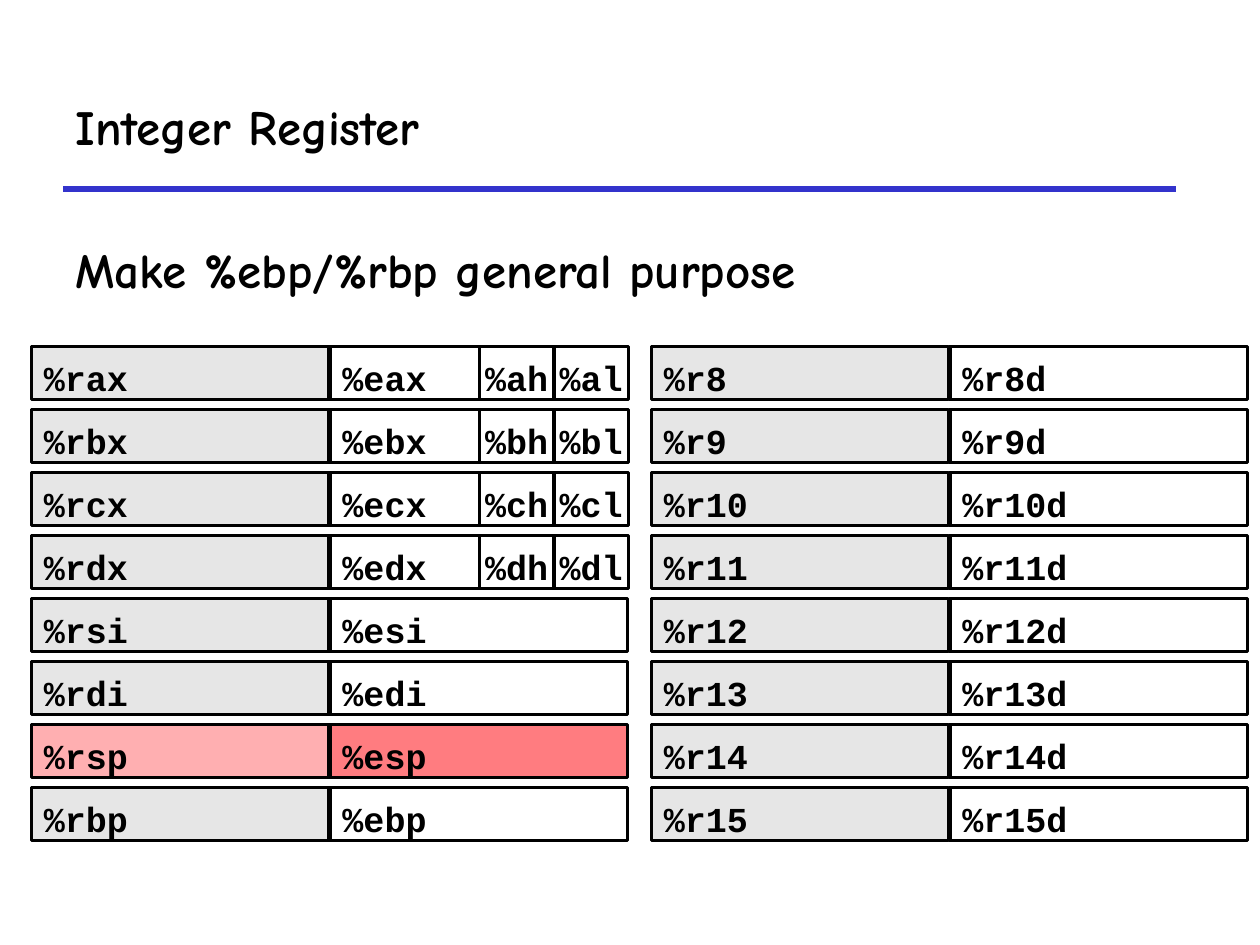
from dataclasses import dataclass

from pptx import Presentation, util as u
from pptx.dml.color import RGBColor
from pptx.enum import shapes, text
from pptx.oxml.ns import qn
from lxml import etree


@dataclass(frozen=True)
class Theme:
    ink: str = "000000"
    rule: str = "3333CC"
    gray: str = "E6E6E6"
    white: str = "FFFFFF"
    pink: str = "FFAFB1"
    red: str = "FF7C80"
    head: str = "Comic Neue"
    code: str = "Courier New"
    big: int = 28
    small: int = 20


# Register grid, in inches: a 64-bit name spans 4 columns, a byte spans 1
TOP, ROW, HIGH = 2.75, 0.5, 0.42
COL, WIDE = 2.37 / 4, 0.59
LEFT, RIGHT = 0.25, 5.17
SIDE, LIFT = 0.1, 0.07  # side inset; extra top inset that lowers the names


def write(shape, words, font, size, color, inset=(0.1, 0.05, 0.1, 0.05),
          wrap=True, align=text.PP_ALIGN.LEFT, anchor=text.MSO_ANCHOR.MIDDLE):
    frame = shape.text_frame
    frame.word_wrap = wrap
    frame.vertical_anchor = anchor
    (frame.margin_left, frame.margin_top,
     frame.margin_right, frame.margin_bottom) = map(u.Inches, inset)
    para = frame.paragraphs[0]
    para.alignment = align
    run = para.add_run()
    run.text = words
    run.font.name, run.font.size, run.font.bold = font, u.Pt(size), True
    run.font.color.rgb = RGBColor.from_string(color)


class Board:
    def __init__(self, slide, theme):
        self.slide, self.theme = slide, theme

    def label(self, words, box, **form):
        shape = self.slide.shapes.add_textbox(*map(u.Inches, box))
        look = self.theme
        write(shape, words, look.head, look.big, look.ink, **form)

    def rule(self, left, right, y):
        line = self.slide.shapes.add_connector(
            shapes.MSO_CONNECTOR.STRAIGHT,
            *map(u.Inches, (left, y, right, y)))
        line.line.color.rgb = RGBColor.from_string(self.theme.rule)
        line.line.width = u.Pt(3)
        props = line._element.find(qn("p:spPr"))
        etree.SubElement(props, qn("a:effectLst"))

    def cell(self, words, left, col, row, span=4, fill=None):
        box = (left + col * COL, TOP + row * ROW, span * WIDE, HIGH)
        shape = self.slide.shapes.add_shape(
            shapes.MSO_SHAPE.RECTANGLE, *map(u.Inches, box))
        shape.shadow.inherit = False
        if fill:
            shape.fill.solid()
            shape.fill.fore_color.rgb = RGBColor.from_string(fill)
        else:
            shape.fill.background()
        look = self.theme
        shape.line.color.rgb = RGBColor.from_string(look.ink)
        shape.line.width = u.Pt(2)
        byte = span == 1
        inset = (0, LIFT, 0, 0) if byte else (SIDE, 0.05 + LIFT, SIDE, 0.05)
        align = text.PP_ALIGN.CENTER if byte else text.PP_ALIGN.LEFT
        write(shape, words, look.code, look.small, look.ink,
              inset=inset, wrap=False, align=align)


def main():
    deck = Presentation()
    deck.slide_width, deck.slide_height = u.Inches(10), u.Inches(7.5)
    look = Theme()
    board = Board(deck.slides.add_slide(deck.slide_layouts[6]), look)

    # Heading
    board.rule(0.5, 9.33, 1.5)
    board.label("Integer Register", (0.5, 0.5, 8.83, 1))
    board.label("Make %ebp/%rbp general purpose", (0.5, 1.75, 9.08, 0.83),
                inset=(0.1, 0.15, 0.1, 0.05), anchor=text.MSO_ANCHOR.TOP)

    # Named registers, the first four with their high and low bytes
    for row, name in enumerate("ax bx cx dx si di sp bp".split()):
        stack = name == "sp"
        board.cell(f"%r{name}", LEFT, 0, row,
                   fill=look.pink if stack else look.gray)
        board.cell(f"%e{name}", LEFT, 4, row,
                   fill=look.red if stack else look.white)
        if name.endswith("x"):
            for col, half in enumerate("hl", 6):
                board.cell(f"%{name[0]}{half}", LEFT, col, row,
                           span=1, fill=look.white)

    # Numbered registers
    for row in range(8):
        name = f"%r{row + 8}"
        board.cell(name, RIGHT, 0, row, fill=look.gray)
        board.cell(f"{name}d", RIGHT, 4, row)

    deck.save("out.pptx")


if __name__ == "__main__":
    main()
